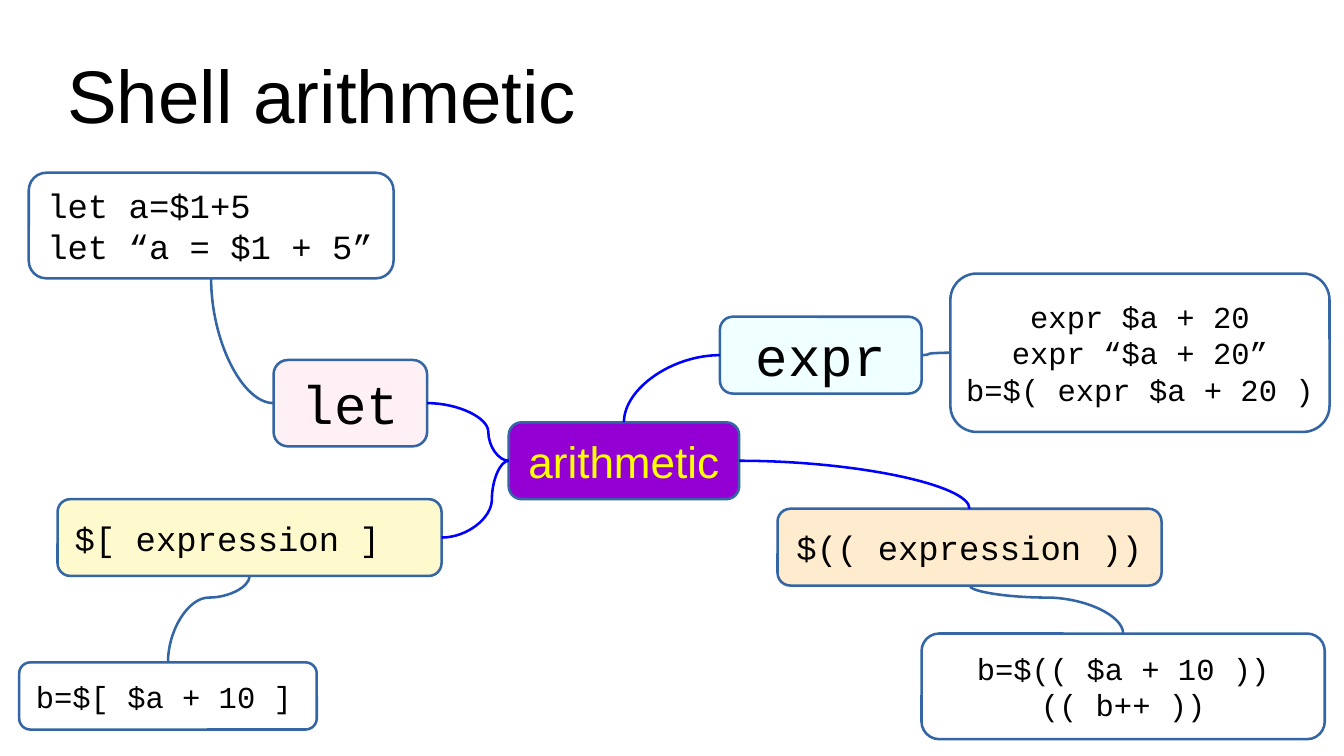
from lxml.etree import SubElement
from pptx import Presentation
from pptx.dml.color import RGBColor
from pptx.enum.shapes import MSO_CONNECTOR, MSO_SHAPE
from pptx.enum.text import MSO_ANCHOR, PP_ALIGN
from pptx.oxml.ns import qn
from pptx.util import Cm, Pt

BLACK = RGBColor(0x00, 0x00, 0x00)
YELLOW = RGBColor(0xFF, 0xFF, 0x00)
VIOLET = RGBColor(0x94, 0x00, 0xD3)
PINK = RGBColor(0xFF, 0xF0, 0xF5)
AZURE = RGBColor(0xF0, 0xFF, 0xFF)
ALMOND = RGBColor(0xFF, 0xEB, 0xCD)
LEMON = RGBColor(0xFF, 0xFA, 0xCD)
STEEL = RGBColor(0x34, 0x65, 0xA4)
BLUE = RGBColor(0x00, 0x00, 0xFF)

SANS, MONO = "Arial", "Courier New"
LEFT, CENTER = PP_ALIGN.LEFT, PP_ALIGN.CENTER
TOP_SIDE, LEFT_SIDE, BOTTOM_SIDE, RIGHT_SIDE = range(4)

NODES = {
    "arithmetic": ((10.2, 5.2, 4.8, 1.6), ["arithmetic"], 26, CENTER, VIOLET),
    "let": ((5.3, 3.9, 3.2, 1.8), ["let"], 32, CENTER, PINK),
    "expr": ((14.6, 3, 4.2, 1.6), ["expr"], 32, CENTER, AZURE),
    "parens": ((15.8, 7, 8, 1.6), ["$(( expression ))"], 20, CENTER, ALMOND),
    "brackets": ((0.8, 6.8, 8, 1.6), ["$[ expression ]"], 20, LEFT, LEMON),
    "let usage": ((0.2, 0, 7.6, 2.2), ["let a=$1+5", "let “a = $1 + 5”"], 20, LEFT, None),
    "expr usage": ((19.4, 2.1, 7.9, 3.3),
                   ["expr $a + 20", "expr “$a + 20”", "b=$( expr $a + 20 )"], 18, CENTER, None),
    "parens usage": ((18.8, 9.6, 8.4, 2.2), ["b=$(( $a + 10 ))", "(( b++ ))"], 18, CENTER, None),
    "brackets usage": ((0, 10.2, 6.2, 1.4), ["b=$[ $a + 10 ]"], 18, LEFT, None),
}

LINKS = [
    ("arithmetic", LEFT_SIDE, "let", RIGHT_SIDE, BLUE),
    ("arithmetic", LEFT_SIDE, "brackets", RIGHT_SIDE, BLUE),
    ("expr", LEFT_SIDE, "arithmetic", TOP_SIDE, BLUE),
    ("arithmetic", RIGHT_SIDE, "parens", TOP_SIDE, BLUE),
    ("let", LEFT_SIDE, "let usage", BOTTOM_SIDE, STEEL),
    ("expr", RIGHT_SIDE, "expr usage", LEFT_SIDE, STEEL),
    ("parens", BOTTOM_SIDE, "parens usage", TOP_SIDE, STEEL),
    ("brackets", BOTTOM_SIDE, "brackets usage", TOP_SIDE, STEEL),
]


def add_title(slide, left, top, width, height):
    """Place the slide title in the given box."""
    tf = slide.shapes.add_textbox(left, top, width, height).text_frame
    tf.word_wrap = True
    tf.vertical_anchor = MSO_ANCHOR.MIDDLE
    tf.margin_left = tf.margin_right = tf.margin_top = tf.margin_bottom = 0
    p = tf.paragraphs[0]
    p.text = "Shell arithmetic"
    p.font.name, p.font.size = SANS, Pt(44)
    p.font.color.rgb = BLACK


def add_node(slide, left, top, width, height, lines, size, align, fill):
    """Place a rounded box with one paragraph per line."""
    sp = slide.shapes.add_shape(MSO_SHAPE.ROUNDED_RECTANGLE, left, top, width, height)
    sp.shadow.inherit = False
    sp.line.color.rgb, sp.line.width = STEEL, Pt(1.5)
    if fill is None:
        sp.fill.background()
    else:
        sp.fill.solid()
        sp.fill.fore_color.rgb = fill
    tf = sp.text_frame
    tf.word_wrap = False
    tf.vertical_anchor = MSO_ANCHOR.MIDDLE
    tf.margin_left = tf.margin_right = Cm(0.28)
    tf.margin_top = tf.margin_bottom = Cm(0.15)
    for i, line in enumerate(lines):
        p = tf.add_paragraph() if i else tf.paragraphs[0]
        p.text, p.alignment = line, align
        p.font.name = SANS if fill == VIOLET else MONO
        p.font.size = Pt(size)
        p.font.color.rgb = YELLOW if fill == VIOLET else BLACK
    return sp


def add_link(slide, start, start_side, end, end_side, color):
    """Join two nodes with a curve that leaves and enters at right angles."""
    cxn = slide.shapes.add_connector(MSO_CONNECTOR.CURVE, 0, 0, 0, 0)
    cxn.begin_connect(start, start_side)
    cxn.end_connect(end, end_side)
    cxn.line.color.rgb, cxn.line.width = color, Pt(1.5)
    props = cxn._element.spPr
    SubElement(props, qn("a:effectLst"))
    geom = props.find(qn("a:prstGeom"))
    if start_side % 2 != end_side % 2:
        geom.set("prst", "curvedConnector2")
        return
    guides = geom.find(qn("a:avLst"))
    if guides is None:
        guides = SubElement(geom, qn("a:avLst"))
    SubElement(guides, qn("a:gd"), name="adj1", fmla="val 25000")
    if start_side == BOTTOM_SIDE:
        turn_downward(cxn)


def turn_downward(cxn):
    """Rotate a descending connector so that it starts and ends vertically."""
    rightward = cxn.end_x > cxn.begin_x
    left, top, width, height = cxn.left, cxn.top, cxn.width, cxn.height
    cxn.left, cxn.top = left + (width - height) // 2, top + (height - width) // 2
    cxn.width, cxn.height = height, width
    xfrm = cxn._element.spPr.find(qn("a:xfrm"))
    xfrm.set("rot", "5400000")
    xfrm.set("flipH", "0")
    xfrm.set("flipV", "1" if rightward else "0")


def add_mind_map(slide, left, top):
    """Place the nodes from the given corner and link them."""
    nodes = {}
    for name, (box, *style) in NODES.items():
        x, y, width, height = map(Cm, box)
        nodes[name] = add_node(slide, left + x, top + y, width, height, *style)
    for start, start_side, end, end_side, color in LINKS:
        add_link(slide, nodes[start], start_side, nodes[end], end_side, color)


def main():
    """Build the slide and save it."""
    prs = Presentation()
    prs.slide_width, prs.slide_height = Cm(28), Cm(15.75)
    slide = prs.slides.add_slide(prs.slide_layouts[6])
    add_title(slide, Cm(1.4), Cm(0.63), Cm(25.2), Cm(2.63))
    add_mind_map(slide, Cm(0.4), Cm(3.6))
    prs.save("out.pptx")


if __name__ == "__main__":
    main()
